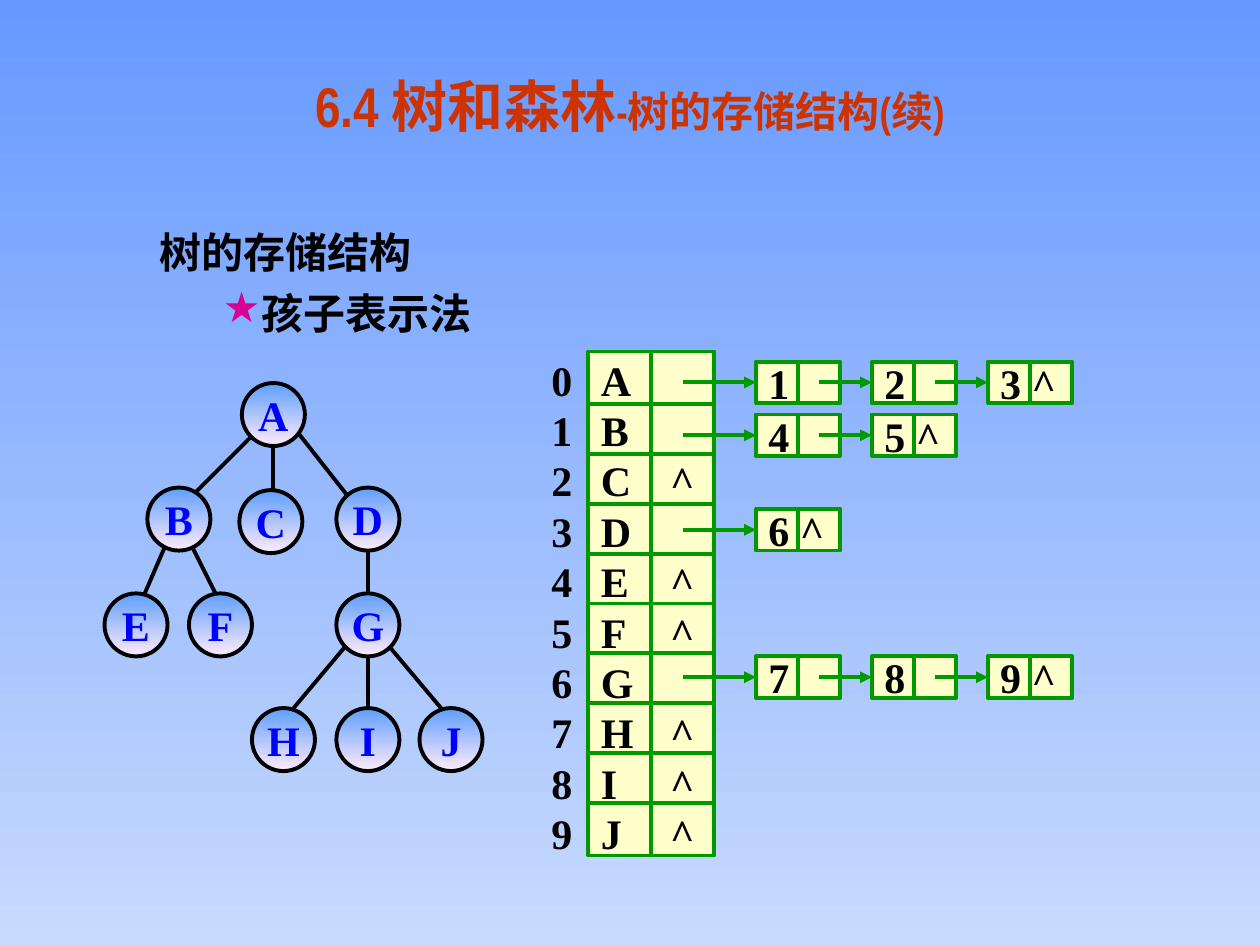
from dataclasses import dataclass

from lxml import etree
from pptx import Presentation
from pptx.dml.color import RGBColor as RGB
from pptx.enum.shapes import MSO_CONNECTOR as Conn, MSO_SHAPE as Shape
from pptx.enum.text import MSO_ANCHOR as Anchor, PP_ALIGN as Align
from pptx.oxml.ns import qn
from pptx.util import Inches, Pt


@dataclass(frozen=True)
class Theme:
    sky: tuple = ("6699FF", "C8DAFE")
    node: tuple = ("5E9EFF", "FFEBFA")
    title: str = "CC3300"
    ink: str = "000000"
    letter: str = "0000FF"
    star: str = "D60093"
    cell: str = "FFFFCC"
    border: str = "009900"
    title_font: str = "Arial Narrow"
    body_font: str = "Arial"
    serif: str = "Times New Roman"
    title_size: int = 32
    size: int = 24
    line: float = 2.25


class Deck:
    def __init__(self, prs, theme):
        self.t = theme
        self.s = prs.slides.add_slide(prs.slide_layouts[6])
        self.gradient(self.s.background.fill, theme.sky)

    def gradient(self, fill, colors):
        fill.gradient()
        fill.gradient_angle = 270
        for stop, color in zip(fill.gradient_stops, colors):
            stop.color.rgb = RGB.from_string(color)

    def run(self, p, text, color=None, font=None, size=None):
        r = p.add_run()
        r.text = text
        r.font.name = font or self.t.serif
        r.font.size = Pt(size or self.t.size)
        r.font.bold = True
        r.font.color.rgb = RGB.from_string(color or self.t.ink)

    def text_box(self, x, y, w, h, anchor=Anchor.TOP):
        sp = self.s.shapes.add_textbox(Inches(x), Inches(y), Inches(w), Inches(h))
        tf = sp.text_frame
        tf.word_wrap = True
        tf.vertical_anchor = anchor
        return tf

    def shape(self, kind, x, y, w, h, border):
        sp = self.s.shapes.add_shape(kind, Inches(x), Inches(y), Inches(w), Inches(h))
        sp.shadow.inherit = False
        sp.line.color.rgb = RGB.from_string(border)
        sp.line.width = Pt(self.t.line)
        sp.text_frame.vertical_anchor = Anchor.MIDDLE
        return sp

    def node(self, letter, x, y, d=0.5):
        sp = self.shape(Shape.OVAL, x, y, d, d, self.t.ink)
        self.gradient(sp.fill, self.t.node)
        tf = sp.text_frame
        tf.word_wrap = False
        p = tf.paragraphs[0]
        p.alignment = Align.CENTER
        self.run(p, letter, self.t.letter)

    def cell(self, x, y, w, h):
        sp = self.shape(Shape.RECTANGLE, x, y, w, h, self.t.border)
        sp.fill.solid()
        sp.fill.fore_color.rgb = RGB.from_string(self.t.cell)
        tf = sp.text_frame
        tf.word_wrap = True
        tf.margin_right = 0
        tf.paragraphs[0].alignment = Align.LEFT
        return tf

    def column(self, tf, rows, align, pitch, tab=None):
        tf.margin_top, tf.margin_bottom = Inches(0.04), 0
        for i, text in enumerate(rows):
            p = tf.add_paragraph() if i else tf.paragraphs[0]
            p.alignment = align
            p.line_spacing = Pt(pitch)
            if tab:
                tabs = etree.SubElement(p._p.get_or_add_pPr(), qn("a:tabLst"))
                etree.SubElement(tabs, qn("a:tab"), pos=str(Inches(tab)), algn="l")
            self.run(p, text)

    def bullet(self, p, char, color, left, hang):
        pPr = p._p.get_or_add_pPr()
        pPr.set("marL", str(Inches(left)))
        pPr.set("indent", str(-Inches(hang)))
        clr = etree.SubElement(pPr, qn("a:buClr"))
        etree.SubElement(clr, qn("a:srgbClr"), val=color)
        etree.SubElement(pPr, qn("a:buChar"), char=char)

    def line(self, x1, y1, x2, y2, color, arrow=False):
        c = self.s.shapes.add_connector(
            Conn.STRAIGHT, Inches(x1), Inches(y1), Inches(x2), Inches(y2))
        c.line.color.rgb = RGB.from_string(color)
        c.line.width = Pt(self.t.line)
        if arrow:
            etree.SubElement(c.line._get_or_add_ln(), qn("a:tailEnd"), type="triangle")
        etree.SubElement(c._element.spPr, qn("a:effectLst"))

    def chain(self, y, items, x=6, w=0.67, h=0.33, step=0.92):
        """Linked list whose first pointer starts in the header array."""
        mid, start = y + h / 2, 5.42
        for i, text in enumerate(items):
            left = x + i * step
            self.line(start, mid, left, mid, self.t.border, arrow=True)
            self.run(self.cell(left, y, w, h).paragraphs[0], text)
            self.line(left + w / 2, y, left + w / 2, y + h, self.t.border)
            start = left + 0.5


EDGES = [(2.92, 4.29, 2.92, 4.87), (2.33, 3.39, 2.92, 4.14),
         (1.5, 4.29, 1.75, 4.79), (1.33, 4.29, 1.08, 4.87),
         (2, 3.46, 1.5, 3.96), (2.17, 3.46, 2.17, 3.96),
         (3.08, 5.12, 3.5, 5.62), (2.75, 5.12, 2.33, 5.62),
         (2.92, 5.21, 2.92, 5.62)]
NODES = {"A": (1.92, 3.04), "B": (1.17, 3.87), "C": (1.9, 3.89), "D": (2.67, 3.87),
         "E": (0.83, 4.71), "F": (1.5, 4.71), "G": (2.67, 4.71),
         "H": (2, 5.62), "I": (2.67, 5.62), "J": (3.33, 5.62)}
CHAINS = {2.87: ("1", "2", "3 ^"), 3.29: ("4", "5 ^"),
          4.04: ("6 ^",), 5.21: ("7", "8", "9 ^")}
PARENTS = "ABDG"


def main():
    prs = Presentation()
    prs.slide_width, prs.slide_height = Inches(10), Inches(7.5)
    t = Theme()
    d = Deck(prs, t)

    # Title
    p = d.text_box(0.75, 0.21, 8.5, 1.25, Anchor.MIDDLE).paragraphs[0]
    p.alignment = Align.CENTER
    d.run(p, "6.4 树和森林", t.title, t.title_font, t.title_size)
    d.run(p, "-树的存储结构(续)", t.title, t.title_font)

    # Heading and starred method
    tf = d.text_box(1.17, 1.75, 8.67, 4.79)
    d.run(tf.paragraphs[0], "树的存储结构", font=t.body_font)
    p = tf.add_paragraph()
    p.space_before = Pt(6)
    d.bullet(p, "★", t.star, left=0.81, hang=0.31)
    d.run(p, "孩子表示法")

    # Tree
    for edge in EDGES:
        d.line(*edge, t.ink)
    for letter, (x, y) in NODES.items():
        d.node(letter, x, y)

    # Header array with its index column
    left, top, width, height = 4.67, 2.79, 1, 4
    pitch = height * 72 / len(NODES)
    rows = [n if n in PARENTS else f"{n}\t^" for n in NODES]
    d.column(d.cell(left, top, width, height), rows, Align.LEFT, pitch, tab=0.55)
    index = d.text_box(4.25, top, 0.42, height, Anchor.MIDDLE)
    d.column(index, [str(i) for i in range(len(NODES))], Align.CENTER, pitch)
    d.line(left + width / 2, top, left + width / 2, top + height, t.border)
    for i in range(len(NODES) - 1):
        y = 3.21 + 0.395 * i
        d.line(left, y, left + 0.98, y, t.border)

    # Child lists
    for y, items in CHAINS.items():
        d.chain(y, items)

    prs.save("out.pptx")


if __name__ == "__main__":
    main()
